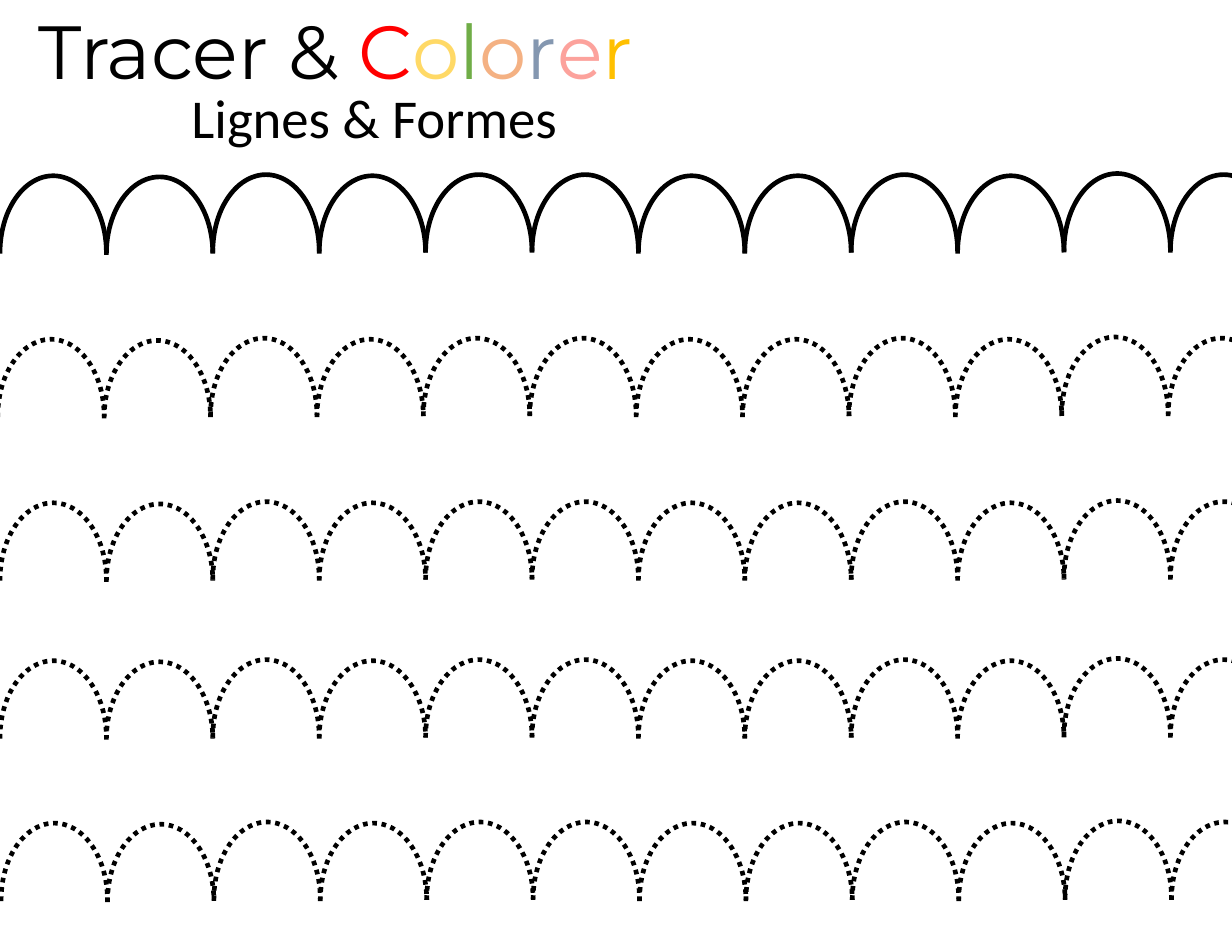
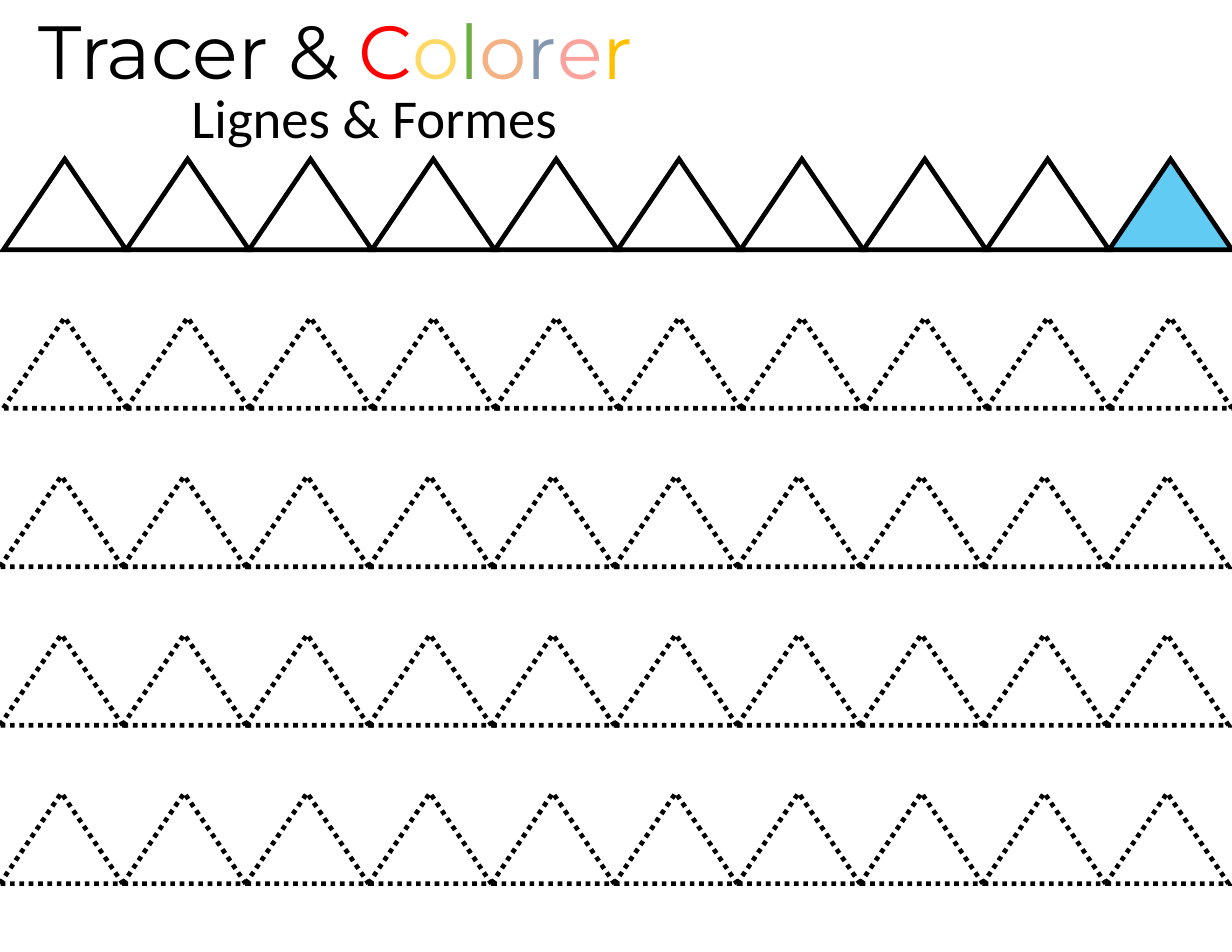
from pptx import Presentation
from pptx.dml.color import RGBColor
from pptx.enum.dml import MSO_LINE
from pptx.enum.shapes import MSO_SHAPE
from pptx.enum.text import MSO_ANCHOR, MSO_AUTO_SIZE, PP_ALIGN
from pptx.oxml.ns import qn
from pptx.util import Inches, Pt
from lxml import etree

COLORS = {
    "black": "000000", "red": "FF0000", "yellow": "FFD966", "green": "70AD47",
    "peach": "F4B183", "slate": "8497B0", "pink": "FCA29C", "amber": "FFC000",
    "sky": "61CBF4",
}
TITLE_RUNS = [("Tracer & ", "black")] + list(zip(
    "Colorer", ("red", "yellow", "green", "peach", "slate", "pink", "amber")))
TITLE_STYLE = {"name": "Montserrat", "size": Pt(48.4), "bold": False}
SUBTITLE_STYLE = {"name": "Calibri", "size": Pt(35.2), "bold": False}
FRAME_STYLE = {"word_wrap": True, "auto_size": MSO_AUTO_SIZE.SHAPE_TO_FIT_TEXT,
               "vertical_anchor": MSO_ANCHOR.TOP}

ARC_SIZE = (0.95, 1.37)
ARC_ANGLES = (107.236, 0)
ARC_ROWS = [(0, 1.56), (-0.02, 3.02), (0, 4.48), (0, 5.89), (0.01, 7.34)]
# Small vertical shift of each arc, for a hand-placed look
ARC_SHIFTS = [0.01, 0.02, 0, 0.01, 0, 0, 0.01, 0.01, 0, 0.01, -0.01, 0]

TRIANGLE_COUNT = 10
TRIANGLE_SIZE = (10.97 / TRIANGLE_COUNT, 0.81)
TRIANGLE_LEFTS = [0.03, 0.03, 0, 0, 0]
TRIANGLE_TOP, TRIANGLE_BOTTOM_ROW = 1.42, 7.08


def color(name):
    return RGBColor.from_string(COLORS[name])


def apply_format(target, values):
    for name, value in values.items():
        setattr(target, name, value)


def place(shape, left, top, width, height):
    apply_format(shape, {"left": Inches(left), "top": Inches(top),
                         "width": Inches(width), "height": Inches(height)})


def write_line(shape, runs, style, alignment):
    apply_format(shape.text_frame, FRAME_STYLE)
    paragraph = shape.text_frame.paragraphs[0]
    paragraph.alignment = alignment
    for text, color_name in runs:
        run = paragraph.add_run()
        run.text = text
        apply_format(run.font, style)
        run.font.color.rgb = color(color_name)


def add_worksheet(presentation):
    """Add a slide with the shared heading."""
    slide = presentation.slides.add_slide(presentation.slide_layouts[5])
    title = slide.shapes.title
    place(title, 0.24, -0.01, 6.42, 0.92)
    write_line(title, TITLE_RUNS, TITLE_STYLE, PP_ALIGN.LEFT)
    subtitle = slide.shapes.add_textbox(
        Inches(0.78), Inches(0.7), Inches(5.12), Inches(0.69))
    write_line(subtitle, [("Lignes & Formes", "black")], SUBTITLE_STYLE, PP_ALIGN.CENTER)
    return slide


def add_outline(group, kind, left, top, size, dotted, fill=None):
    shape = group.shapes.add_shape(
        kind, Inches(left), Inches(top), *map(Inches, size))
    shape.shadow.inherit = False
    if fill:
        shape.fill.solid()
        shape.fill.fore_color.rgb = color(fill)
    else:
        shape.fill.background()
    shape.line.color.rgb = color("black")
    shape.line.width = Pt(3)
    if dotted:
        shape.line.dash_style = MSO_LINE.ROUND_DOT
    line = shape.element.spPr.find(qn("a:ln"))
    etree.SubElement(line, qn("a:miter"), lim="800000")
    return shape


def add_arc_row(slide, left, top, dotted):
    group = slide.shapes.add_group_shape()
    for column, shift in enumerate(ARC_SHIFTS):
        arc = add_outline(group, MSO_SHAPE.ARC, left + column * ARC_SIZE[0],
                          top + shift, ARC_SIZE, dotted)
        for index, angle in enumerate(ARC_ANGLES):
            arc.adjustments[index] = angle


def add_triangle_row(slide, left, top, dotted):
    """Add a row of triangles; the last one of the solid row is coloured."""
    group = slide.shapes.add_group_shape()
    for column in range(TRIANGLE_COUNT):
        is_last = column == TRIANGLE_COUNT - 1
        add_outline(group, MSO_SHAPE.FLOWCHART_EXTRACT,
                    left + column * TRIANGLE_SIZE[0], top, TRIANGLE_SIZE, dotted,
                    "sky" if is_last and not dotted else None)


def main():
    presentation = Presentation()
    presentation.slide_width = Inches(11)
    presentation.slide_height = Inches(8.5)

    arcs_slide = add_worksheet(presentation)
    for row, (left, top) in enumerate(ARC_ROWS):
        add_arc_row(arcs_slide, left, top, dotted=row > 0)

    triangles_slide = add_worksheet(presentation)
    row_pitch = (TRIANGLE_BOTTOM_ROW - TRIANGLE_TOP) / (len(TRIANGLE_LEFTS) - 1)
    for row, left in enumerate(TRIANGLE_LEFTS):
        add_triangle_row(triangles_slide, left, TRIANGLE_TOP + row * row_pitch,
                         dotted=row > 0)

    presentation.save("out.pptx")


if __name__ == "__main__":
    main()
